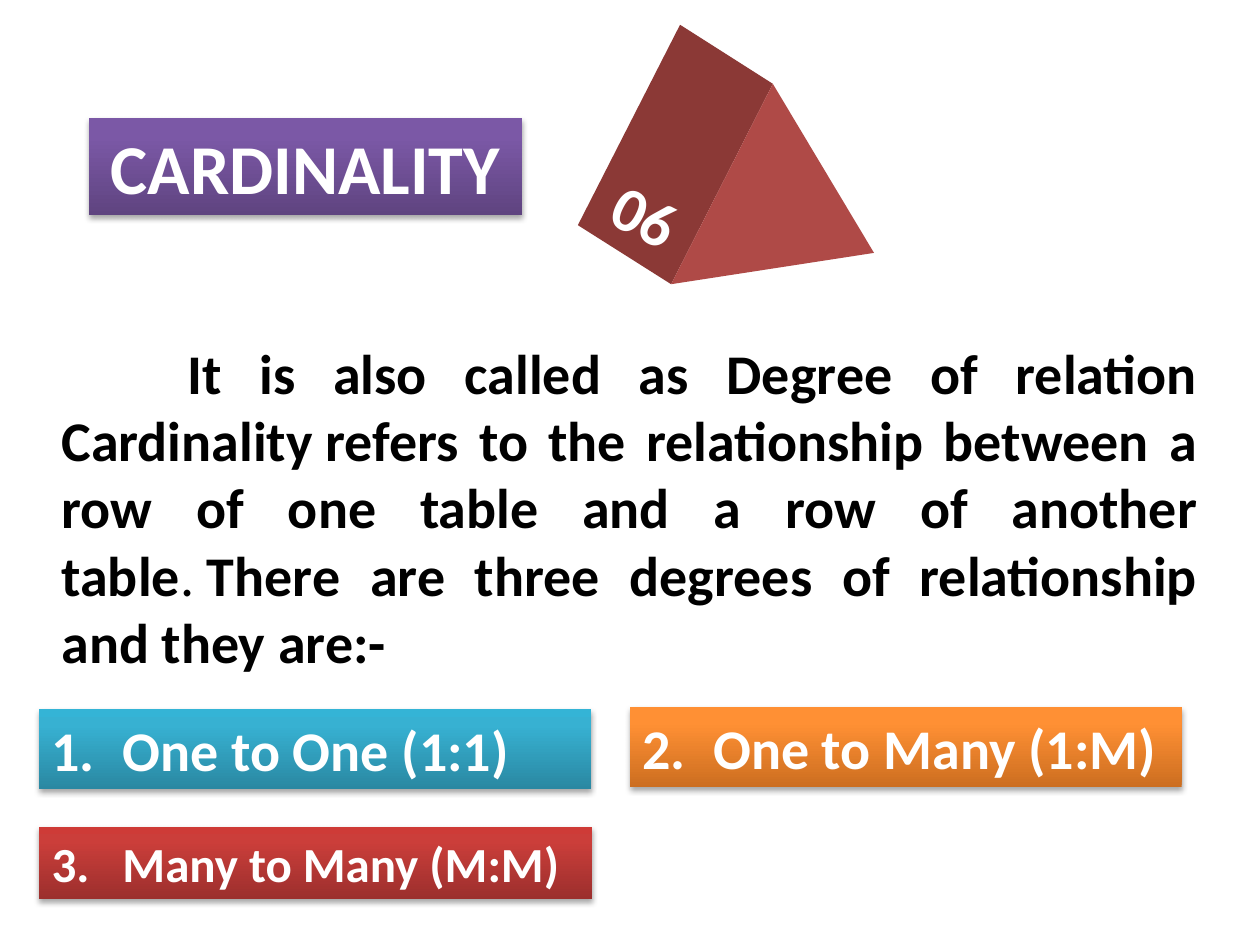
"""Build the slide on cardinality and its three degrees of relationship."""
import copy

import lxml.etree
import pptx
import pptx.dml.color
import pptx.enum.shapes
import pptx.enum.text
import pptx.oxml.ns
import pptx.util

Cm = pptx.util.Cm
RGBColor = pptx.dml.color.RGBColor
ALIGN = pptx.enum.text.PP_ALIGN
qn = pptx.oxml.ns.qn

FIXED_SPACE = chr(160)
BLACK = RGBColor(0x00, 0x00, 0x00)
WHITE = RGBColor(0xFF, 0xFF, 0xFF)
PRISM_DARK = RGBColor(0x8B, 0x39, 0x36)
PRISM_LIGHT = RGBColor(0xAF, 0x4A, 0x47)
PURPLES = [RGBColor(0x5F, 0x44, 0x80), RGBColor(0x7B, 0x58, 0xA6), RGBColor(0x7C, 0x57, 0xA8)]
TEALS = [RGBColor(0x2A, 0x88, 0xA2), RGBColor(0x37, 0xB1, 0xD2), RGBColor(0x34, 0xB4, 0xD6)]
ORANGES = [RGBColor(0xCC, 0x6E, 0x20), RGBColor(0xFF, 0x90, 0x34), RGBColor(0xFF, 0x91, 0x36)]
REDS = [RGBColor(0x9C, 0x2F, 0x2D), RGBColor(0xCB, 0x3E, 0x3A), RGBColor(0xCE, 0x3B, 0x37)]


def add_span(para, text, size, color, bold=True):
    span = para.add_run()
    span.text = text
    style = {"name": "Calibri", "size": pptx.util.Pt(size), "bold": bold}
    for name, value in style.items():
        setattr(span.font, name, value)
    span.font.color.rgb = color


def add_banner(page, place, colors):
    banner = page.shapes.add_shape(
        pptx.enum.shapes.MSO_SHAPE.RECTANGLE, *[Cm(length) for length in place])
    banner.line.fill.background()
    banner.fill.gradient()
    banner.fill.gradient_angle = 90
    first_stop = next(banner._element.spPr.iter(qn("a:gs")))
    first_stop.addnext(copy.deepcopy(first_stop))
    for stop, position, color in zip(banner.fill.gradient_stops, (0, 0.8, 1), colors):
        stop.position = position
        stop.color.rgb = color
    banner.shadow.inherit = False
    effects = banner._element.spPr.find(qn("a:effectLst"))
    shadow = lxml.etree.SubElement(
        effects, qn("a:outerShdw"), blurRad="40000", dist="23000", dir="5400000", rotWithShape="0")
    shade = lxml.etree.SubElement(shadow, qn("a:srgbClr"), val="000000")
    lxml.etree.SubElement(shade, qn("a:alpha"), val="35000")
    banner.text_frame.word_wrap = True
    return banner.text_frame.paragraphs[0]


deck = pptx.Presentation()
deck.slide_width, deck.slide_height = Cm(25.4), Cm(19.05)
page = deck.slides.add_slide(deck.slide_layouts[6])

box = page.shapes.add_textbox(Cm(0.99), Cm(6.7), Cm(23.42), Cm(7.09))
box.text_frame.word_wrap = True
para = box.text_frame.paragraphs[0]
para.alignment = ALIGN.JUSTIFY
para._p.get_or_add_pPr().set("indent", str(Cm(2.54)))
add_span(para, f"It is also called as Degree of relation Cardinality{FIXED_SPACE}refers to the "
               "relationship between a row of one table and a row of another table", 32, BLACK)
add_span(para, f".{FIXED_SPACE}", 32, BLACK, bold=False)
add_span(para, "There are three degrees of relationship and they are:-", 32, BLACK)

apex, ridge_end = (13.71, 0.5), (15.58, 1.69)
left_foot, front_foot, right_foot = (11.65, 4.54), (13.53, 5.73), (17.62, 5.1)
faces = [
    ([apex, ridge_end, front_foot, left_foot], PRISM_DARK),
    ([ridge_end, right_foot, front_foot], PRISM_LIGHT),
]
for corners, color in faces:
    points = [(Cm(x), Cm(y)) for x, y in corners]
    outline = page.shapes.build_freeform(*points[0])
    outline.add_line_segments(points[1:], close=True)
    face = outline.convert_to_shape()
    face.fill.solid()
    face.fill.fore_color.rgb = color
    face.line.fill.background()
    face.shadow.inherit = False

number_box = page.shapes.add_textbox(Cm(12.17), Cm(3.38), Cm(1.68), Cm(1.93))
number_box.rotation = 27
frame_format = {"margin_left": Cm(0.18), "margin_right": Cm(0.18), "margin_top": Cm(0.18),
                "margin_bottom": Cm(0.18), "word_wrap": False}
for name, value in frame_format.items():
    setattr(number_box.text_frame, name, value)
number_para = number_box.text_frame.paragraphs[0]
number_para.alignment = ALIGN.CENTER
add_span(number_para, "06", 36, WHITE)

title_para = add_banner(page, (1.79, 2.37, 8.74, 1.97), PURPLES)
title_para.alignment = ALIGN.CENTER
add_span(title_para, "CARDINALITY", 40, WHITE)

degrees = [
    ("One to One (1:1)", (0.79, 14.29, 11.13, 1.62), TEALS, 32),
    ("2.\tOne to Many (1:M)", (12.7, 14.25, 11.12, 1.62), ORANGES, 32),
    ("3.\tMany to Many (M:M)", (0.79, 16.67, 11.15, 1.45), REDS, 28),
]
for text, place, colors, size in degrees:
    para = add_banner(page, place, colors)
    para.alignment = ALIGN.JUSTIFY
    properties = para._p.get_or_add_pPr()
    properties.set("marL", str(Cm(1.43)))
    properties.set("indent", str(-Cm(1.43)))
    if "\t" not in text:
        lxml.etree.SubElement(properties, qn("a:buFont"), typeface="+mj-lt")
        lxml.etree.SubElement(properties, qn("a:buAutoNum"), type="arabicPeriod")
    add_span(para, text, size, WHITE)

deck.save("out.pptx")
